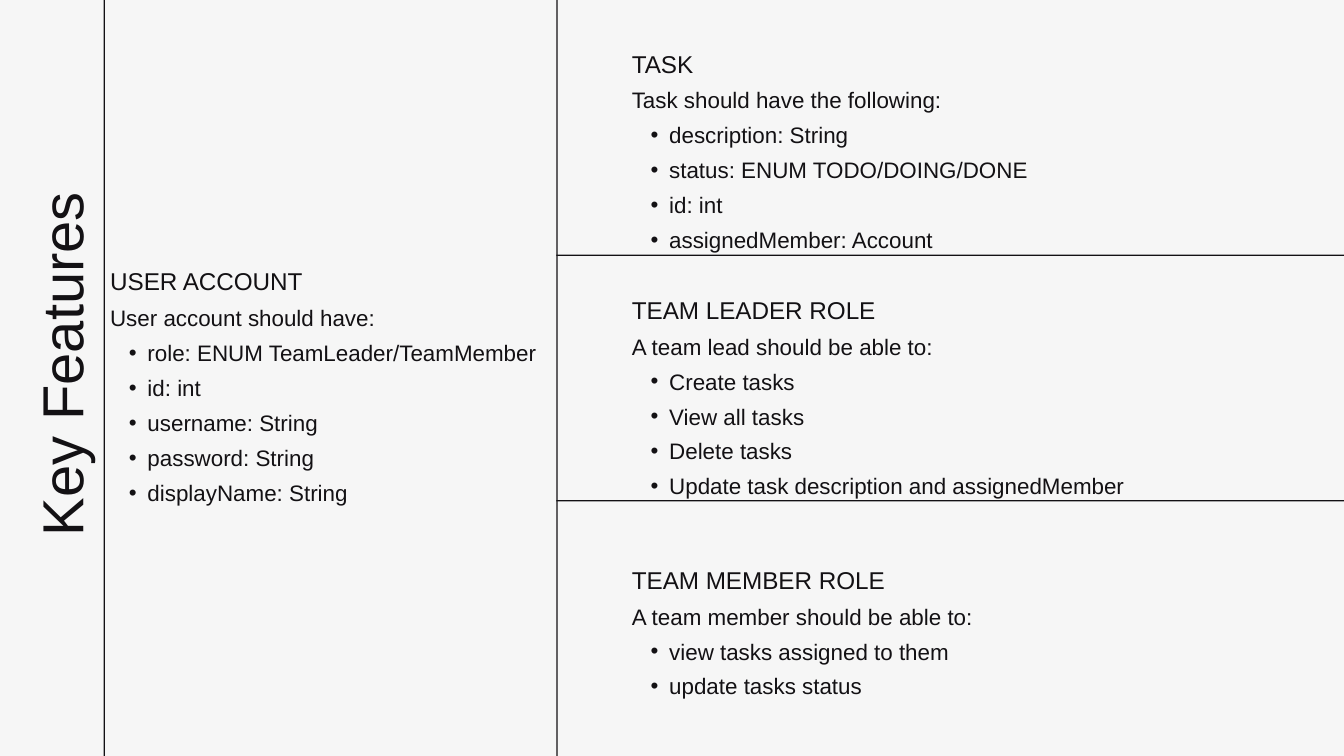
from dataclasses import dataclass

from lxml import etree
from pptx import Presentation
from pptx import util as u
from pptx.dml.color import RGBColor
from pptx.enum import shapes, text
from pptx.oxml import ns

INK = {"back": "F6F6F6", "dark": "131114"}
FONT = "Arial"
WIDE, HIGH = 720, 405
LINE = 0.7
LEFT, SPLIT = 55.5, 298


@dataclass
class Rule:
    x: float
    y: float
    w: float
    h: float


@dataclass
class Block:
    x: float
    y: float
    w: float
    h: float
    head: str
    lead: str
    items: list[str]


RULES = [
    Rule(LEFT, 0, LINE, HIGH),
    Rule(SPLIT, 0, LINE, HIGH),
    *(Rule(SPLIT, y, WIDE - SPLIT, LINE) for y in (136.4, 267.9)),
]

BLOCKS = [
    Block(59, 138.2, 237, 107, "USER ACCOUNT", "User account should have:",
          ["role: ENUM TeamLeader/TeamMember", "id: int", "username: String",
           "password: String", "displayName: String"]),
    Block(338.5, 21.5, 341, 76.5, "TASK", "Task should have the following:",
          ["description: String", "status: ENUM TODO/DOING/DONE", "id: int",
           "assignedMember: Account"]),
    Block(338.5, 153.4, 341, 76.5, "TEAM LEADER ROLE", "A team lead should be able to:",
          ["Create tasks", "View all tasks", "Delete tasks",
           "Update task description and assignedMember"]),
    Block(338.5, 298, 341, 46, "TEAM MEMBER ROLE", "A team member should be able to:",
          ["view tasks assigned to them", "update tasks status"]),
]


def tint(name: str) -> RGBColor:
    return RGBColor.from_string(INK[name])


def draw_rule(slide, rule: Rule) -> None:
    bar = slide.shapes.add_shape(
        shapes.MSO_SHAPE.RECTANGLE,
        u.Pt(rule.x), u.Pt(rule.y), u.Pt(rule.w), u.Pt(rule.h))
    bar.shadow.inherit = False
    bar.fill.solid()
    bar.fill.fore_color.rgb = tint("dark")
    bar.line.fill.background()


def add_dot(para) -> None:
    para.level = 1
    props = para._p.get_or_add_pPr()
    props.set("marL", str(u.Pt(20)))
    props.set("indent", str(-u.Pt(10)))
    shade = etree.SubElement(props, ns.qn("a:buClr"))
    etree.SubElement(shade, ns.qn("a:srgbClr"), val=INK["dark"])
    etree.SubElement(props, ns.qn("a:buFont"), typeface=FONT)
    etree.SubElement(props, ns.qn("a:buChar"), char="•")


def draw_text(slide, x: float, y: float, w: float, h: float, lines: list[str],
              size: float, space: float = 1.3):
    box = slide.shapes.add_textbox(u.Pt(x), u.Pt(y), u.Pt(w), u.Pt(h))
    frame = box.text_frame
    frame.word_wrap = True
    frame.auto_size = text.MSO_AUTO_SIZE.SHAPE_TO_FIT_TEXT
    frame.margin_left = frame.margin_right = u.Pt(0)
    frame.margin_top = frame.margin_bottom = u.Pt(0)
    for index, line in enumerate(lines):
        para = frame.add_paragraph() if index else frame.paragraphs[0]
        if index:
            add_dot(para)
        para.line_spacing = space
        run = para.add_run()
        run.text = line
        run.font.name = FONT
        run.font.size = u.Pt(size)
        run.font.color.rgb = tint("dark")
    return box


def draw_block(slide, block: Block) -> None:
    draw_text(slide, block.x, block.y, block.w, 16.5, [block.head], 13)
    draw_text(slide, block.x, block.y + 20.6, block.w, block.h,
              [block.lead, *block.items], 12)


def main() -> None:
    deck = Presentation()
    deck.slide_width, deck.slide_height = u.Pt(WIDE), u.Pt(HIGH)
    slide = deck.slides.add_slide(deck.slide_layouts[6])
    slide.background.fill.solid()
    slide.background.fill.fore_color.rgb = tint("back")
    for rule in RULES:
        draw_rule(slide, rule)
    title = draw_text(slide, -90, 151.2, 236, 36, ["Key Features"], 31, 1.1)
    title.rotation = 270
    for block in BLOCKS:
        draw_block(slide, block)
    deck.save("out.pptx")


if __name__ == "__main__":
    main()
